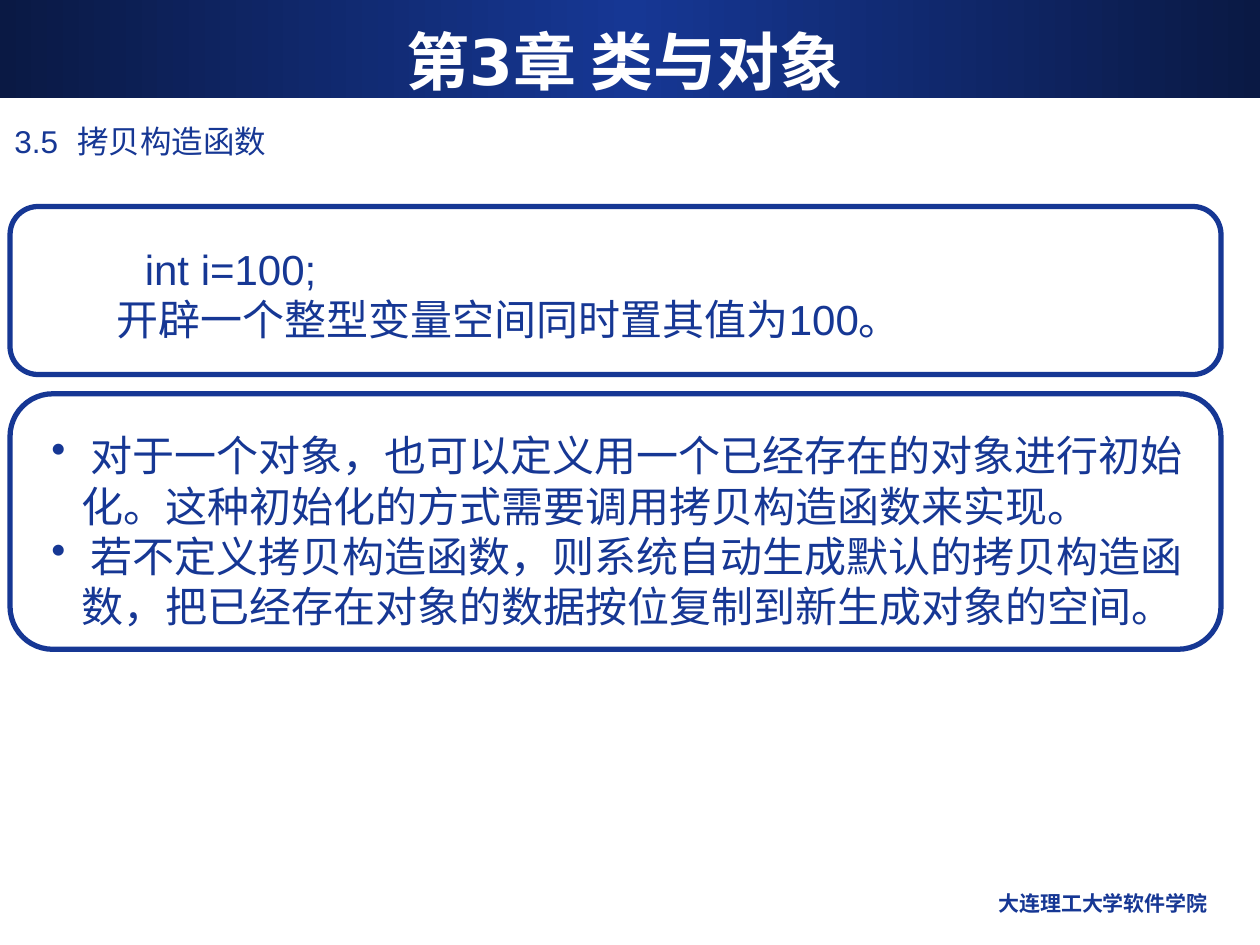
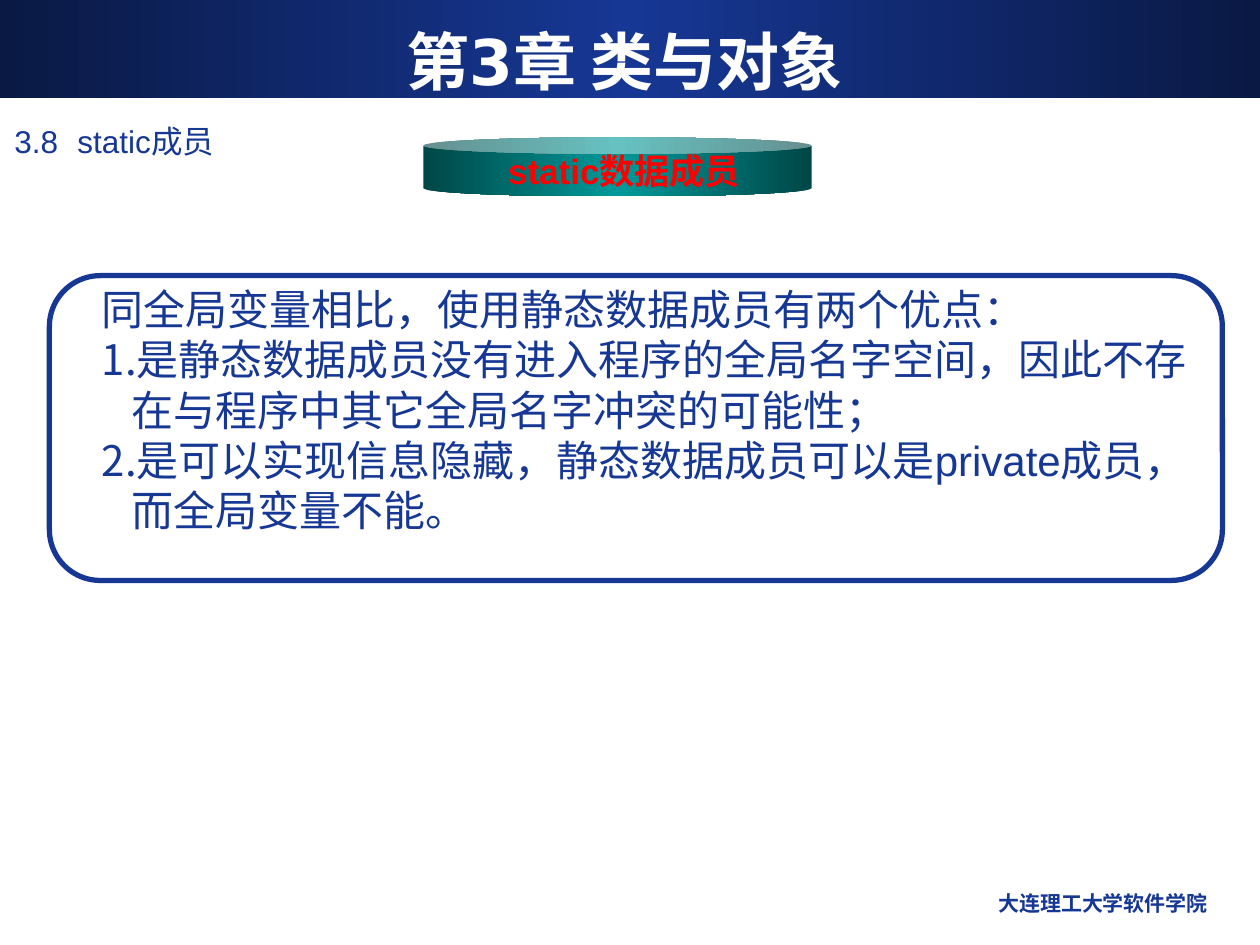
import copy
from dataclasses import dataclass
from typing import Optional

import pptx
import pptx.dml.color
import pptx.enum.shapes
import pptx.enum.text
import pptx.oxml
import pptx.oxml.ns
import pptx.presentation
import pptx.shapes.autoshape
import pptx.slide
import pptx.text.text
import pptx.util

Pt = pptx.util.Pt
RGBColor = pptx.dml.color.RGBColor
Align = pptx.enum.text.PP_ALIGN
Anchor = pptx.enum.text.MSO_ANCHOR
ShapeKind = pptx.enum.shapes.MSO_SHAPE
qn = pptx.oxml.ns.qn

BLUE = RGBColor(0x16, 0x37, 0x94)
NAVY = RGBColor(0x0A, 0x19, 0x44)
TEAL = RGBColor(0x00, 0x99, 0x99)
DARK_TEAL = RGBColor(0x00, 0x47, 0x47)
RED = RGBColor(0xFF, 0x00, 0x00)
WHITE = RGBColor(0xFF, 0xFF, 0xFF)

SLIDE_WIDTH, SLIDE_HEIGHT = 720, 540
BAND_HEIGHT = 56
HANGING_INDENT = 17
HEADING_TAB = 34.8
CHAPTER = "第3章 类与对象"
SCHOOL = "大连理工大学软件学院"
DOT = '<a:buChar {ns} char="•"/>'
NUMBER = '<a:buAutoNum {ns} type="arabicPeriod"/>'


@dataclass(frozen=True)
class Area:
    left: float
    top: float
    width: float
    height: float

    def lengths(self) -> tuple:
        return tuple(Pt(value) for value in (self.left, self.top, self.width, self.height))


@dataclass(frozen=True)
class Style:
    size: float
    color: RGBColor = BLUE
    font: str = "Arial"
    bold: bool = False
    align: Align = Align.LEFT


@dataclass(frozen=True)
class Line:
    text: str
    indent: float = 0
    bullet: Optional[str] = None
    tab: Optional[float] = None


@dataclass(frozen=True)
class Panel:
    frame: Area
    text_area: Area
    lines: tuple[Line, ...]


@dataclass(frozen=True)
class Lesson:
    heading: str
    panels: tuple[Panel, ...]
    topic: Optional[str] = None


TITLE = Style(36, WHITE, "DejaVu Sans", True, Align.CENTER)
FOOTER = Style(12, BLUE, "DejaVu Sans", True, Align.RIGHT)
HEADING = Style(18)
BODY = Style(24)
TOPIC = Style(20, RED, bold=True, align=Align.CENTER)

LESSONS = (
    Lesson("3.5\t拷贝构造函数", (
        Panel(Area(5.75, 118, 692, 96), Area(22.3, 135.4, 669.6, 93.6), (
            Line("int i=100;", 53.4),
            Line("开辟一个整型变量空间同时置其值为100。", 37.4),
        )),
        Panel(Area(5.75, 225, 692, 146), Area(22.3, 242, 669.6, 122.4), (
            Line(" 对于一个对象，也可以定义用一个已经存在的对象进行初始化。"
                 "这种初始化的方式需要调用拷贝构造函数来实现。", HANGING_INDENT, DOT),
            Line(" 若不定义拷贝构造函数，则系统自动生成默认的拷贝构造函数，"
                 "把已经存在对象的数据按位复制到新生成对象的空间。", HANGING_INDENT, DOT),
        )),
    )),
    Lesson("3.8\tstatic成员", (
        Panel(Area(28.2, 157.5, 670.3, 174.2), Area(51.1, 158.4, 651.6, 180), (
            Line("同全局变量相比，使用静态数据成员有两个优点："),
            Line("是静态数据成员没有进入程序的全局名字空间，"
                 "因此不存在与程序中其它全局名字冲突的可能性；", HANGING_INDENT, NUMBER),
            Line("是可以实现信息隐藏，静态数据成员可以是private成员，"
                 "而全局变量不能。", HANGING_INDENT, NUMBER),
        )),
    ), topic="static数据成员"),
)


def append_xml(paragraph: pptx.text.text._Paragraph, xml: str) -> None:
    """Append one element to the paragraph properties."""
    namespace = pptx.oxml.ns.nsdecls("a")
    paragraph._p.get_or_add_pPr().append(pptx.oxml.parse_xml(xml.format(ns=namespace)))


def write_lines(frame: pptx.text.text.TextFrame, lines: tuple[Line, ...], style: Style) -> None:
    for index, line in enumerate(lines):
        paragraph = frame.paragraphs[0] if index == 0 else frame.add_paragraph()
        properties = paragraph._p.get_or_add_pPr()
        properties.set("marL", str(int(Pt(line.indent))))
        properties.set("indent", str(-int(Pt(line.indent)) if line.bullet else 0))
        if line.bullet:
            append_xml(paragraph, f'<a:buClr {{ns}}><a:srgbClr val="{style.color}"/></a:buClr>')
            append_xml(paragraph, line.bullet)
        if line.tab:
            append_xml(paragraph, '<a:tabLst {ns}><a:tab pos="%d" algn="l"/></a:tabLst>' % Pt(line.tab))
        paragraph.alignment = style.align
        run = paragraph.add_run()
        run.text = line.text
        run.font.name = style.font
        run.font.size = Pt(style.size)
        run.font.bold = style.bold
        run.font.color.rgb = style.color


def set_frame(frame: pptx.text.text.TextFrame, side: float, edge: float, anchor: Anchor) -> None:
    """Set the insets, anchor and wrapping of a text frame."""
    frame.margin_left = frame.margin_right = Pt(side)
    frame.margin_top = frame.margin_bottom = Pt(edge)
    frame.vertical_anchor = anchor
    frame.auto_size = pptx.enum.text.MSO_AUTO_SIZE.NONE
    frame.word_wrap = True


def add_text(slide: pptx.slide.Slide, area: Area, lines: tuple[Line, ...], style: Style,
             side: float = 7.2, edge: float = 3.6) -> None:
    frame = slide.shapes.add_textbox(*area.lengths()).text_frame
    set_frame(frame, side, edge, Anchor.TOP)
    write_lines(frame, lines, style)


def add_plain_shape(slide: pptx.slide.Slide, kind: ShapeKind, area: Area) -> pptx.shapes.autoshape.Shape:
    """Add a preset shape without shadow, fill or line."""
    shape = slide.shapes.add_shape(kind, *area.lengths())
    shape.shadow.inherit = False
    shape.fill.background()
    shape.line.fill.background()
    return shape


def fill_with_glow(shape: pptx.shapes.autoshape.Shape, edge: RGBColor, middle: RGBColor) -> None:
    """Fill from edge to middle and back to edge, left to right."""
    shape.fill.gradient()
    shape.fill.gradient_angle = 0
    stop_list = next(shape._element.spPr.iter(qn("a:gsLst")))
    stop_list.insert(1, copy.deepcopy(stop_list[0]))
    for stop, position, color in zip(shape.fill.gradient_stops, (0, 0.5, 1), (edge, middle, edge)):
        stop.position = position
        stop.color.rgb = color


def move_band_to_layout(slide: pptx.slide.Slide) -> None:
    """Draw the title band and place it behind everything on the slide's layout."""
    band = add_plain_shape(slide, ShapeKind.RECTANGLE, Area(0, 0, SLIDE_WIDTH, BAND_HEIGHT))
    fill_with_glow(band, NAVY, BLUE)
    band._element.nvSpPr.cNvPr.set("id", "100")
    slide.slide_layout.shapes._spTree.insert(2, band._element)


def add_title(slide: pptx.slide.Slide) -> None:
    title = slide.shapes.title
    title.left, title.top, title.width, title.height = Area(23.8, 12.2, 666, 44.6).lengths()
    set_frame(title.text_frame, 0, 0, Anchor.MIDDLE)
    write_lines(title.text_frame, (Line(CHAPTER),), TITLE)


def add_panel(slide: pptx.slide.Slide, panel: Panel) -> None:
    outline = add_plain_shape(slide, ShapeKind.ROUNDED_RECTANGLE, panel.frame)
    outline.adjustments[0] = 0.167
    outline.line.color.rgb = BLUE
    outline.line.width = Pt(3)
    add_text(slide, panel.text_area, panel.lines, BODY)


def add_topic(slide: pptx.slide.Slide, topic: str) -> None:
    can = add_plain_shape(slide, ShapeKind.CAN, Area(241.9, 78.5, 221.8, 33.8))
    can.adjustments[0] = 0.279
    fill_with_glow(can, DARK_TEAL, TEAL)
    set_frame(can.text_frame, 7.2, 3.6, Anchor.MIDDLE)
    can.text_frame.margin_left = Pt(14.6)
    write_lines(can.text_frame, (Line(topic),), TOPIC)


def add_lesson(presentation: pptx.presentation.Presentation, lesson: Lesson) -> pptx.slide.Slide:
    slide = presentation.slides.add_slide(presentation.slide_layouts[5])
    add_title(slide)
    add_text(slide, Area(462.2, 509, 228.2, 25.2), (Line(SCHOOL),), FOOTER, 0, 0)
    add_text(slide, Area(1.2, 66.2, 666, 29.5), (Line(lesson.heading, tab=HEADING_TAB),), HEADING)
    for panel in lesson.panels:
        add_panel(slide, panel)
    if lesson.topic:
        add_topic(slide, lesson.topic)
    return slide


def main() -> None:
    presentation = pptx.Presentation()
    presentation.slide_width = Pt(SLIDE_WIDTH)
    presentation.slide_height = Pt(SLIDE_HEIGHT)
    slides = [add_lesson(presentation, lesson) for lesson in LESSONS]
    move_band_to_layout(slides[0])
    presentation.save("out.pptx")


if __name__ == "__main__":
    main()
